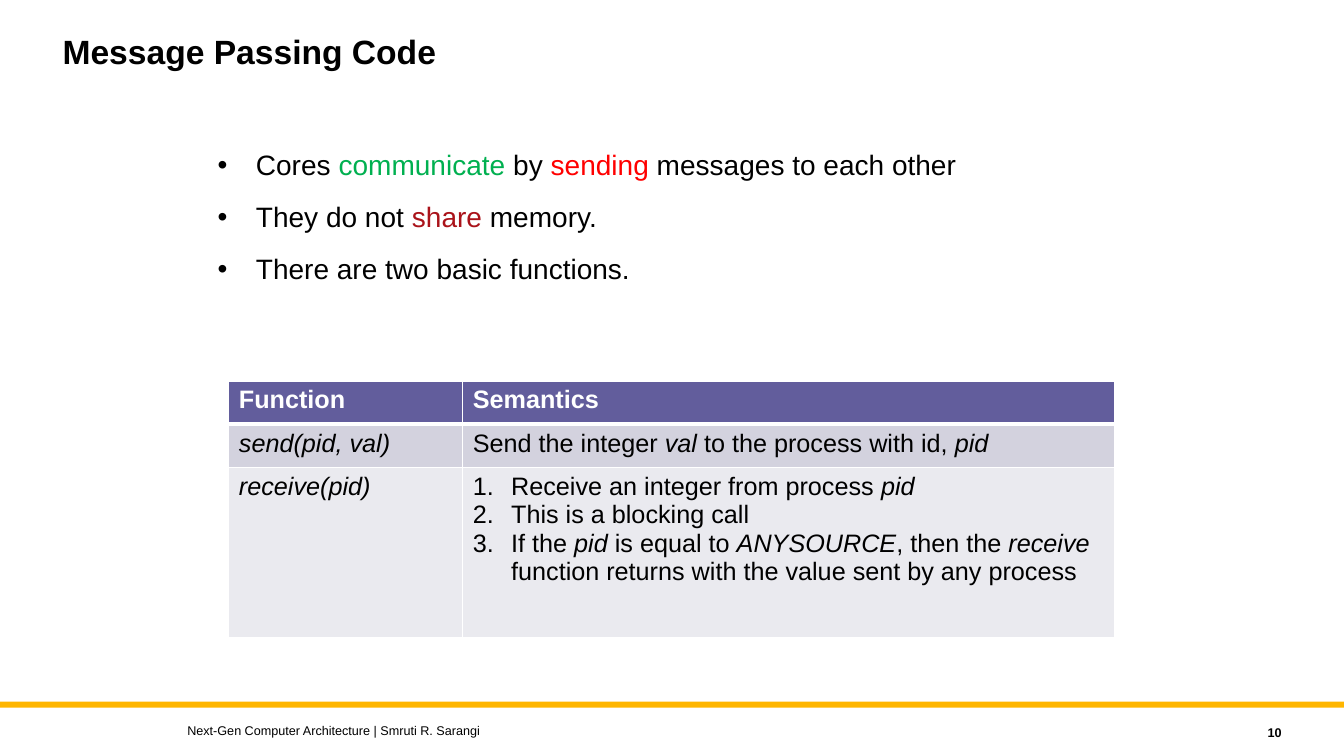
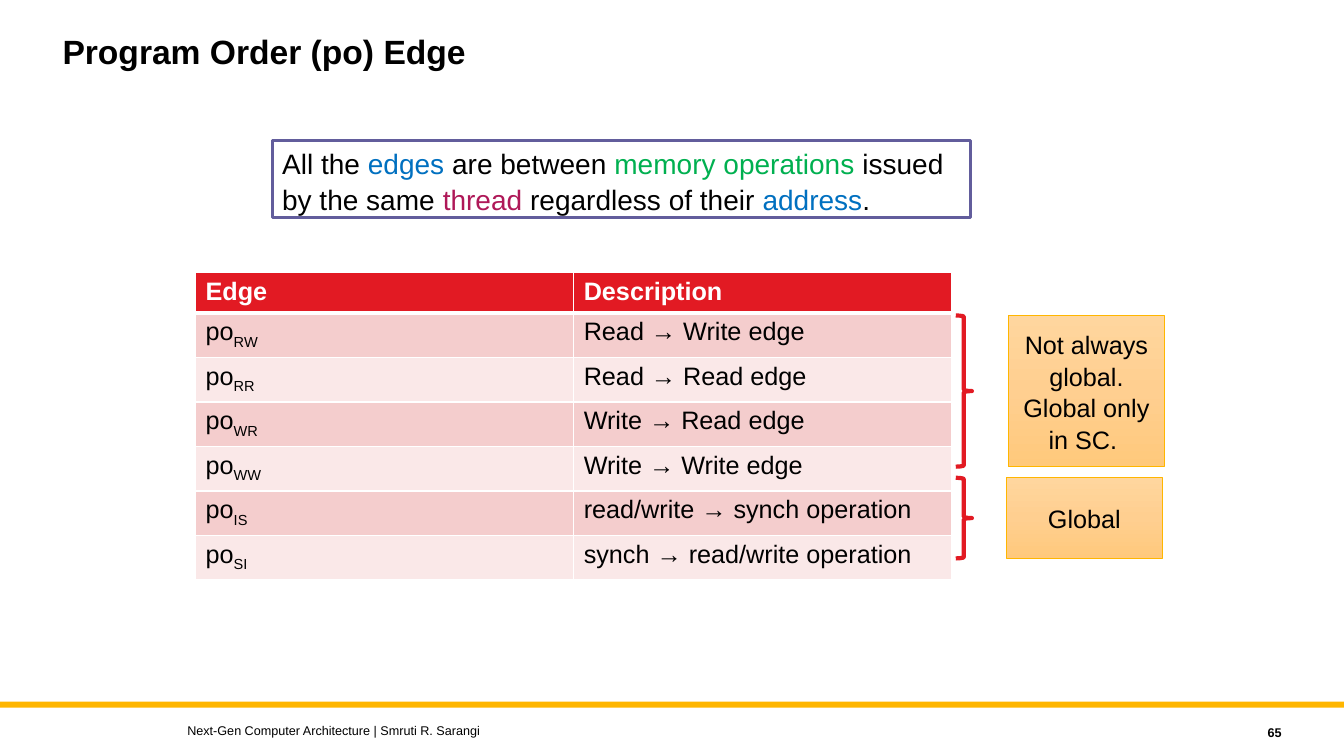
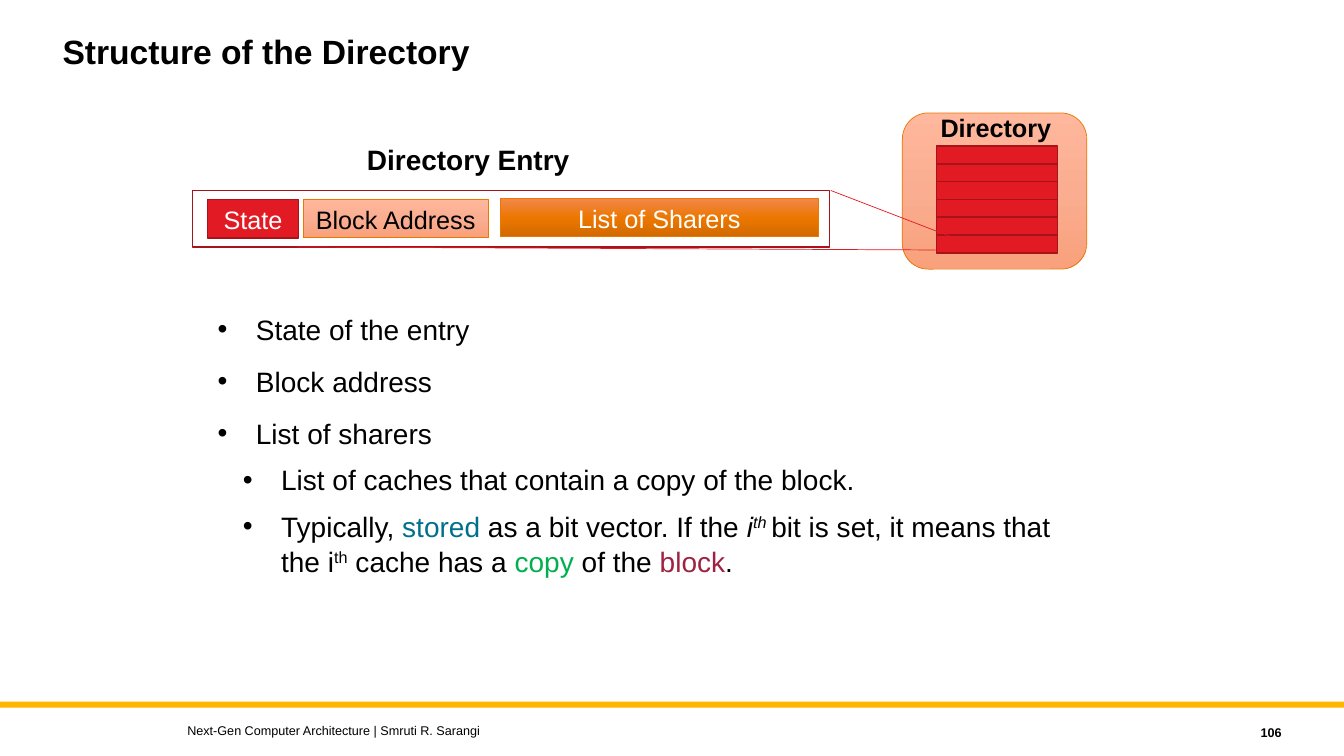
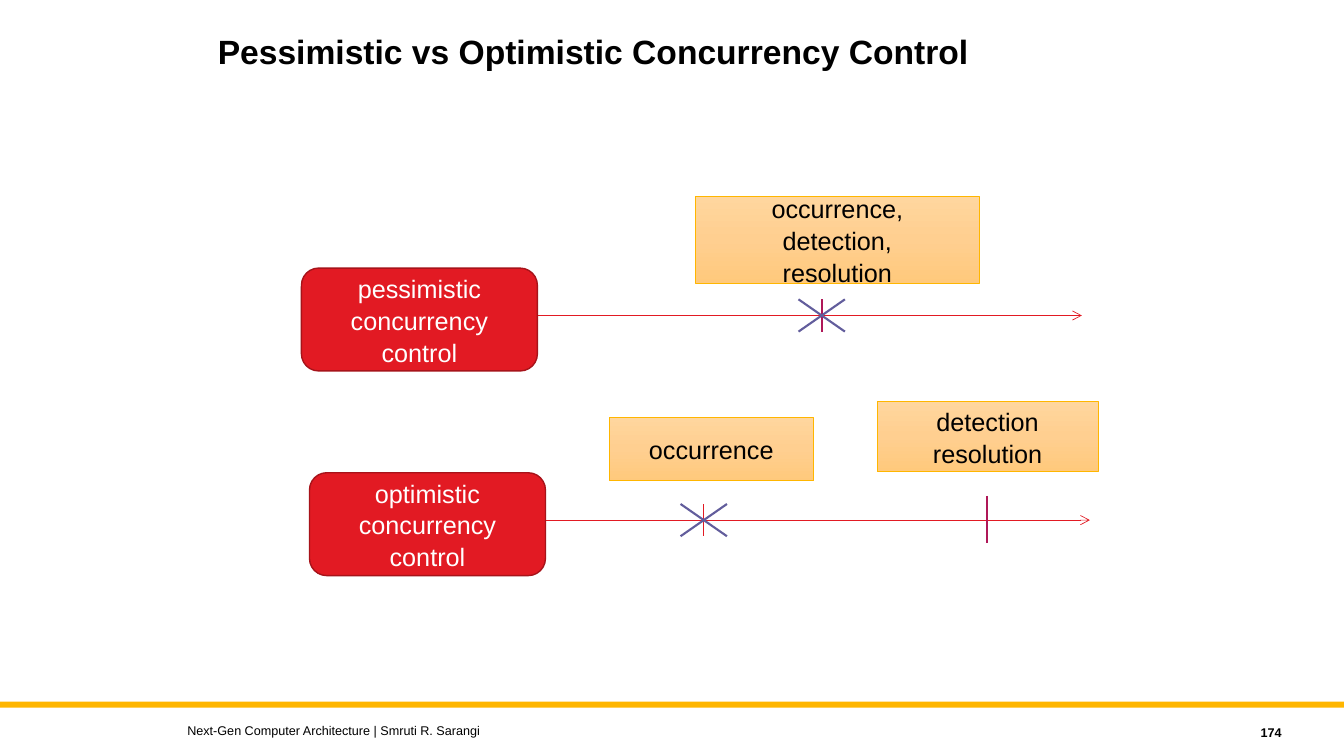
from copy import deepcopy

from pptx import Presentation
from pptx.dml.color import RGBColor
from pptx.enum.shapes import MSO_CONNECTOR, MSO_SHAPE
from pptx.enum.text import MSO_ANCHOR, PP_ALIGN
from pptx.oxml.ns import qn
from pptx.oxml.xmlchemy import OxmlElement
from pptx.util import Inches, Pt

RECTANGLE = MSO_SHAPE.RECTANGLE
ROUNDED = MSO_SHAPE.ROUNDED_RECTANGLE
BRACE = MSO_SHAPE.RIGHT_BRACE
STRAIGHT = MSO_CONNECTOR.STRAIGHT
LEFT, CENTER, RIGHT = PP_ALIGN.LEFT, PP_ALIGN.CENTER, PP_ALIGN.RIGHT
TOP, MIDDLE = MSO_ANCHOR.TOP, MSO_ANCHOR.MIDDLE

FONT = "Arial"
FOOTER = "Next-Gen Computer Architecture | Smruti R. Sarangi"
BLACK, WHITE = "000000", "FFFFFF"
RED, DARK_RED, PURPLE, MAGENTA = "E21A23", "A7131A", "625D9C", "AF1858"
GREEN, BLUE, AMBER, ORANGE = "00B050", "0070C0", "FFB600", "EC7700"
SAND = ("FFD69E", "FFCF90", "FFC97C")
PEACH = ("FFB89D", "FAAD90", "F9A17C")
RUST = ("F2874B", "EC7700", "D26A00")
ITALIC = {"italic": True}
SUBSCRIPT = {"baseline": -25}
SUPERSCRIPT = {"baseline": 30}
LEVEL_INDENT = (0.38, 0.63)
LEVEL_SPACE = (12, 8)


def color(value):
    return RGBColor.from_string(value)


def add_child(parent, tag, **attributes):
    child = OxmlElement(tag)
    for name, value in attributes.items():
        child.set(name, str(value))
    parent.append(child)
    return child


def add_bullet(paragraph, level, numbered):
    properties = paragraph._p.get_or_add_pPr()
    properties.set("marL", str(Inches(LEVEL_INDENT[level])))
    properties.set("indent", str(-Inches(0.38)))
    add_child(properties, "a:buFont", typeface=FONT)
    if numbered:
        add_child(properties, "a:buAutoNum", type="arabicPeriod")
    else:
        add_child(properties, "a:buChar", char="•")


def add_run(paragraph, text, size=18, ink=BLACK, bold=False, italic=False, baseline=0):
    run = paragraph.add_run()
    run.text = text
    font = run.font
    font.name, font.size, font.bold, font.italic = FONT, Pt(size), bold, italic
    font.color.rgb = color(ink)
    if baseline:
        run._r.get_or_add_rPr().set("baseline", str(baseline * 1000))


def write(frame, paragraphs, align=LEFT, spacing=1.05, levels=None, numbered=False, **style):
    """Each paragraph is a string or a list of runs: text or (text, format)."""
    if isinstance(paragraphs, str):
        paragraphs = paragraphs.split("\n")
    for index, runs in enumerate(paragraphs):
        paragraph = frame.add_paragraph() if index else frame.paragraphs[0]
        if levels:
            add_bullet(paragraph, levels[index], numbered)
            if index and not numbered:
                paragraph.space_before = Pt(LEVEL_SPACE[levels[index]])
        paragraph.alignment = align
        paragraph.line_spacing = spacing
        for run in [runs] if isinstance(runs, str) else runs:
            text, changes = (run, {}) if isinstance(run, str) else run
            add_run(paragraph, text, **{**style, **changes})


class Deck:
    def __init__(self):
        self.presentation = Presentation()
        self.presentation.slide_width = Inches(13.33)
        self.presentation.slide_height = Inches(7.5)
        self.slide = None

    def new_slide(self, title, number, left=0.52, width=10):
        layout = self.presentation.slide_layouts[5]
        self.slide = self.presentation.slides.add_slide(layout)
        self.shape(0, 6.96, 13.33, 0.06, fill=AMBER)
        # Title
        heading = self.slide.shapes.title
        heading.left, heading.top = Inches(left), Inches(0.3)
        heading.width, heading.height = Inches(width), Inches(0.9)
        heading.text_frame.vertical_anchor = TOP
        heading.text_frame.word_wrap = True
        write(heading.text_frame, title, size=24, bold=True, spacing=0.9)
        # Footer
        self.text(1.76, 7.12, 8, 0.25, FOOTER, anchor=MIDDLE, size=9, spacing=1)
        self.text(11.41, 7.14, 1.4, 0.25, number, anchor=MIDDLE,
                  align=RIGHT, size=9, bold=True, spacing=1)

    def text(self, left, top, width, height, content, anchor=TOP, wrap=True, **style):
        box = self.slide.shapes.add_textbox(*map(Inches, (left, top, width, height)))
        box.text_frame.word_wrap = wrap
        box.text_frame.vertical_anchor = anchor
        write(box.text_frame, content, **style)

    def shape(self, left, top, width, height, content=None, kind=RECTANGLE, fill=None,
              line=None, weight=1, anchor=MIDDLE, align=CENTER, **style):
        shape = self.slide.shapes.add_shape(kind, *map(Inches, (left, top, width, height)))
        shape.shadow.inherit = False
        if fill is None:
            shape.fill.background()
        elif isinstance(fill, str):
            shape.fill.solid()
            shape.fill.fore_color.rgb = color(fill)
        else:
            self.fill_gradient(shape, fill)
        if line:
            shape.line.color.rgb = color(line)
            shape.line.width = Pt(weight)
        else:
            shape.line.fill.background()
        if content:
            shape.text_frame.word_wrap = True
            shape.text_frame.vertical_anchor = anchor
            write(shape.text_frame, content, align=align, **style)

    def fill_gradient(self, shape, stops):
        shape.fill.gradient()
        shape.fill.gradient_angle = 270
        stop_list = shape._element.spPr.find(".//" + qn("a:gsLst"))
        stop_list.insert(1, deepcopy(stop_list[0]))
        for index, stop in enumerate(shape.fill.gradient_stops):
            stop.position = index / 2
            stop.color.rgb = color(stops[index])

    def note(self, left, top, width, height, content):
        self.shape(left, top, width, height, content, fill=SAND, line=AMBER, weight=0.5)

    def line(self, start, end, ink=RED, weight=0.5, arrow=False):
        connector = self.slide.shapes.add_connector(STRAIGHT, *map(Inches, (*start, *end)))
        connector.line.color.rgb = color(ink)
        connector.line.width = Pt(weight)
        if arrow:
            add_child(connector.line._get_or_add_ln(), "a:tailEnd", type="arrow")
        add_child(connector._element.spPr, "a:effectLst")

    def cross(self, x, y, ink, weight):
        half_width, half_height = 0.23, 0.16
        top, bottom = y - half_height, y + half_height
        self.line((x, top), (x, bottom), ink, weight)
        for side in (-half_width, half_width):
            self.line((x + side, top), (x - side, bottom), PURPLE, 1.5)

    def table(self, left, top, widths, heights, rows, header_fill, bands):
        table = self.slide.shapes.add_table(
            len(rows), len(widths), Inches(left), Inches(top),
            Inches(sum(widths)), Inches(sum(heights))).table
        for column, width in zip(table.columns, widths):
            column.width = Inches(width)
        for index, row in enumerate(rows):
            table.rows[index].height = Inches(heights[index])
            fill = bands[(index - 1) % 2] if index else header_fill
            for cell, content in zip(table.rows[index].cells, row):
                self.cell_borders(cell, index)
                cell.fill.solid()
                cell.fill.fore_color.rgb = color(fill)
                style = {} if index else {"ink": WHITE, "bold": True}
                numbered = len(content) > 1 and not isinstance(content, str)
                write(cell.text_frame, content, spacing=1, numbered=numbered,
                      levels=[0] * len(content) if numbered else None, **style)

    def cell_borders(self, cell, row):
        """White rules, heavier between the header and the first row."""
        heavy = {0: "B", 1: "T"}.get(row)
        for side in "LRTB":
            width = Pt(3 if side == heavy else 1)
            border = add_child(cell._tc.get_or_add_tcPr(), "a:ln" + side, w=width)
            add_child(add_child(border, "a:solidFill"), "a:srgbClr", val=WHITE)


def message_passing(deck):
    deck.new_slide("Message Passing Code", "10")
    deck.text(2.06, 1.4, 9.22, 1.89, [
        ["Cores ", ("communicate", {"ink": GREEN}), " by ", ("sending", {"ink": "FF0000"}),
         " messages to each other"],
        ["They do not ", ("share", {"ink": "AA131A"}), " memory."],
        "There are two basic functions.",
    ], size=20, levels=(0, 0, 0))
    deck.table(2.27, 3.78, (2.32, 6.47), (0.43, 0.43, 1.69), [
        ("Function", "Semantics"),
        ([[("send(pid, val)", ITALIC)]],
         [["Send the integer ", ("val ", ITALIC), "to the process with id, ", ("pid", ITALIC)]]),
        ([[("receive(pid)", ITALIC)]],
         [["Receive an integer from process ", ("pid", ITALIC)],
          "This is a blocking call",
          ["If the ", ("pid ", ITALIC), "is equal to ", ("ANYSOURCE", ITALIC), ", then the ",
           ("receive ", ITALIC), "function returns with the value sent by any process"]]),
    ], PURPLE, ("D3D2DE", "EAEAEF"))


def program_order(deck):
    deck.new_slide("Program Order (po) Edge", "65")
    edges = [
        ("RW", "Read → Write edge"),
        ("RR", "Read → Read edge"),
        ("WR", "Write → Read edge"),
        ("WW", "Write → Write edge"),
        ("IS", "read/write → synch operation"),
        ("SI", "synch → read/write operation"),
    ]
    rows = [("Edge", "Description")]
    rows += [([["po", (name, SUBSCRIPT)]], meaning) for name, meaning in edges]
    deck.table(1.94, 2.7, (3.75, 3.75), [2.84 / 7] * 7, rows, RED, ("F4CDCD", "FAE8E8"))
    deck.shape(2.7, 1.39, 6.93, 0.77, [
        ["All the ", ("edges", {"ink": BLUE}), " are between ",
         ("memory operations ", {"ink": GREEN}), "issued"],
        ["by the same ", ("thread", {"ink": MAGENTA}), " regardless of their ",
         ("address", {"ink": BLUE}), "."],
    ], fill=WHITE, line=PURPLE, weight=2.25, anchor=TOP, align=LEFT, size=20)
    # Braces and their notes
    for top, height, left, content in (
            (3.13, 1.5, 10, "Not always global. Global only in SC. "),
            (4.74, 0.8, 9.98, "Global")):
        deck.shape(9.48, top, 0.16, height, kind=BRACE, line=RED, weight=3)
        deck.note(left, top, 1.55, height, content)


def directory_structure(deck):
    deck.new_slide("Structure of the Directory", "106")
    deck.text(2.06, 3.03, 8.65, 3.06, [
        "State of the entry",
        "Block address",
        "List of sharers",
        "List of caches that contain a copy of the block.",
        ["Typically, ", ("stored", {"ink": "01708C"}), " as a bit vector. If the ",
         ("i", ITALIC), ("th ", {**ITALIC, **SUPERSCRIPT}), "bit is set, it means that the i",
         ("th", SUPERSCRIPT), " cache has a ", ("copy", {"ink": GREEN}), " of the ",
         ("block", {"ink": "9F2241"}), "."],
    ], size=20, levels=(0, 0, 0, 1, 1))
    # Directory entry
    deck.shape(3.01, 1.98, 1.83, 0.38, "Block Address", fill=PEACH, line=ORANGE, weight=0.5)
    deck.shape(4.96, 1.97, 3.16, 0.38, "List of Sharers", fill=RUST, line=ORANGE,
               weight=0.5, ink=WHITE)
    deck.shape(1.91, 1.89, 6.32, 0.56, line=DARK_RED)
    deck.text(3.54, 1.35, 2.23, 0.44, "Directory Entry", wrap=False, size=20, bold=True)
    # Directory with its rows
    deck.shape(8.95, 1.12, 1.83, 1.55, kind=ROUNDED, fill=PEACH, line=ORANGE, weight=0.5)
    deck.text(9.23, 1.05, 1.31, 0.4, "Directory", wrap=False, bold=True)
    for index in range(6):
        deck.shape(9.29, 1.45 + index * 0.176, 1.2, 0.18, fill=RED, line=DARK_RED)
    # Zoom lines
    deck.line((9.41, 2.34), (8.24, 1.89))
    deck.line((2.95, 2.45), (9.28, 2.48))
    deck.shape(2.06, 1.98, 0.9, 0.38, "State", fill=RED, line=DARK_RED, ink=WHITE)


def concurrency_control(deck):
    deck.new_slide("Pessimistic vs Optimistic Concurrency Control", "174", 2.06, 8.36)
    # Timelines
    for name, left, top in (("pessimistic", 2.99, 2.66), ("optimistic", 3.07, 4.69)):
        axis = top + 0.47
        deck.line((left + 1.57, axis), (left + 7.74, axis), arrow=True)
        deck.shape(left, top, 2.34, 1.02, name + "\nconcurrency\ncontrol", kind=ROUNDED,
                   fill=RED, line=DARK_RED, ink=WHITE)
    # Events
    deck.cross(8.15, 3.13, MAGENTA, 1.5)
    deck.cross(6.98, 5.16, RED, 0.5)
    deck.line((9.79, 4.92), (9.79, 5.39), MAGENTA, 1.5)
    deck.note(6.9, 1.95, 2.81, 0.86, "occurrence,\ndetection,\nresolution")
    deck.note(6.04, 4.14, 2.03, 0.63, "occurrence")
    deck.note(8.7, 3.98, 2.19, 0.7, "detection\nresolution")


def main():
    deck = Deck()
    message_passing(deck)
    program_order(deck)
    directory_structure(deck)
    concurrency_control(deck)
    deck.presentation.save("out.pptx")


if __name__ == "__main__":
    main()
